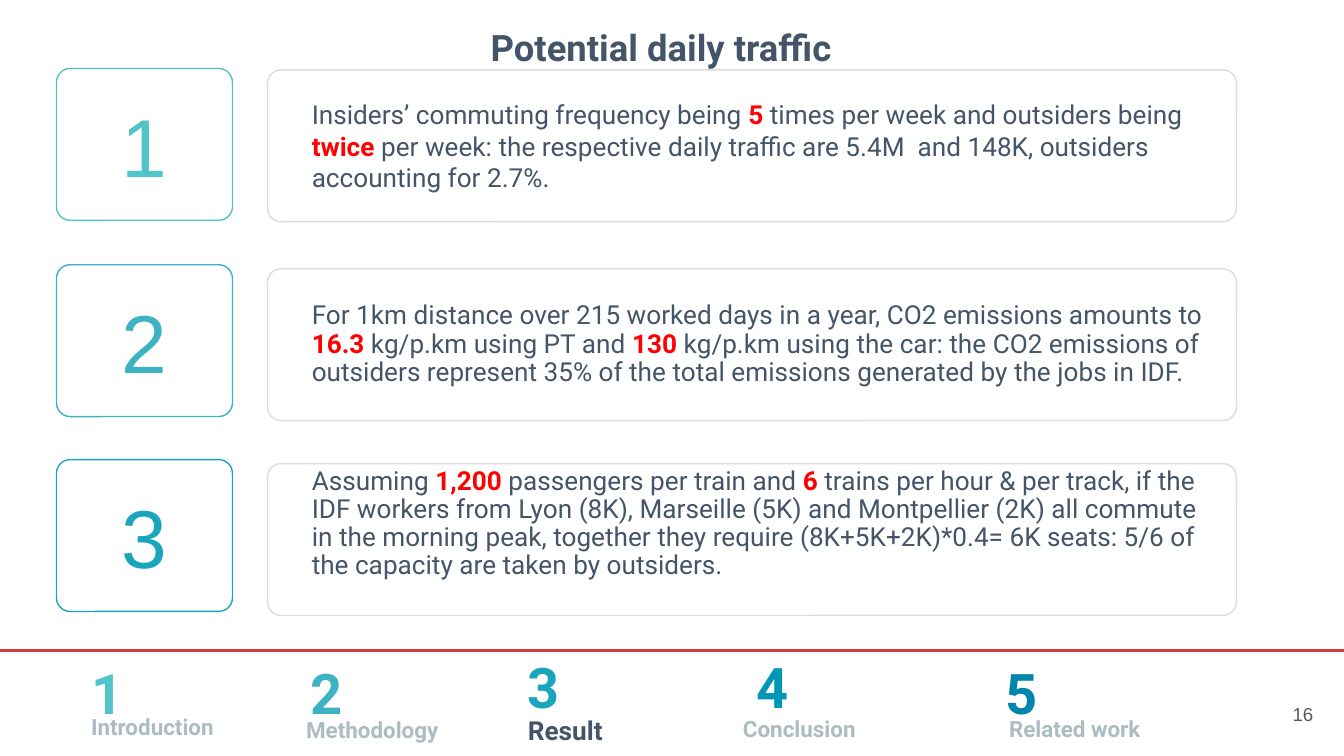
from dataclasses import dataclass
from lxml import etree
from pptx import Presentation
from pptx.dml.color import RGBColor
from pptx.enum.shapes import MSO_CONNECTOR, MSO_SHAPE
from pptx.enum.text import MSO_ANCHOR, PP_ALIGN
from pptx.oxml.ns import qn
from pptx.util import Inches, Pt

ROUND = MSO_SHAPE.ROUNDED_RECTANGLE
LINE = MSO_CONNECTOR.STRAIGHT
TOP, MID, LOW = MSO_ANCHOR.TOP, MSO_ANCHOR.MIDDLE, MSO_ANCHOR.BOTTOM
LEFT, MIDST, RIGHT = PP_ALIGN.LEFT, PP_ALIGN.CENTER, PP_ALIGN.RIGHT
WIDE = 10
HIGH = WIDE * 9 / 16


@dataclass(frozen=True)
class Theme:
    ink: str = "445469"
    hot: str = "FF0000"
    dim: str = "ADBCC3"
    rule: str = "CF3E3E"
    page: str = "595959"
    steps: tuple = ("51C3CA", "3CB2C3", "1AA5BD", "0097B7", "0086AC")
    head: str = "Roboto"
    plain: str = "Arial"
    title: float = 19.5
    body: float = 14
    badge: float = 44
    step: float = 30
    label: float = 12
    small: float = 10


THEME = Theme()

ROWS = [
    (0.51, 0.52, 1, 0,
     [("Insiders’ commuting frequency being ", False), ("5", True),
      (" times per week and outsiders being ", False), ("twice ", True),
      ("per week: the respective daily traffic are 5.4M  and 148K, "
       "outsiders accounting for 2.7%.", False)]),
    (1.97, 2.0, 0.9, 0,
     [("For 1km distance over 215 worked days in a year, CO2 emissions "
       "amounts to ", False), ("16.3", True),
      (" kg/p.km using PT and ", False), ("130", True),
      (" kg/p.km using the car: the CO2 emissions of outsiders represent "
       "35% of the total emissions generated by the jobs in IDF.", False)]),
    (3.42, 3.45, 0.9, 0.23,
     [("Assuming ", False), ("1,200", True),
      (" passengers per train and ", False), ("6", True),
      (" trains per hour & per track, if the IDF workers from Lyon (8K), "
       "Marseille (5K) and Montpellier (2K) all commute in the morning "
       "peak, together they require (8K+5K+2K)*0.4= 6K seats: 5/6 of the "
       "capacity are taken by outsiders.", False)]),
]

STEPS = [
    ("Introduction", 0.58, 0.11, 0.58, 0.42),
    ("Methodology", 2.21, 0.11, 2.18, 0.44),
    ("Result", 3.83, 0.07, 3.83, 0.43),
    ("Conclusion", 5.53, 0.07, 5.43, 0.43),
    ("Related work", 7.38, 0.11, 7.41, 0.43),
]


def rgb(code):
    return RGBColor.from_string(code)


def style(font, name, size, color, bold=False):
    font.name, font.size, font.bold = name, Pt(size), bold
    font.color.rgb = rgb(color)


def frame(shape, anchor, insets):
    text = shape.text_frame
    text.word_wrap = True
    text.vertical_anchor = anchor
    left, top, right, base = map(Inches, insets)
    text.margin_left, text.margin_top = left, top
    text.margin_right, text.margin_bottom = right, base
    return text.paragraphs[0]


def write(para, words, look, align=LEFT, space=None):
    para.text = words
    para.alignment = align
    para.line_spacing = space
    style(para.font, *look)


def label(slide, box, words, look, align=LEFT, anchor=TOP, pad=0.05,
          space=None):
    shape = slide.shapes.add_textbox(*map(Inches, box))
    para = frame(shape, anchor, (0.1, pad, 0.1, pad))
    write(para, words, look, align, space)


def panel(slide, box, bend, color):
    shape = slide.shapes.add_shape(ROUND, *map(Inches, box))
    shape.adjustments[0] = bend
    shape.shadow.inherit = False
    shape.fill.background()
    shape.line.color.rgb = rgb(color)
    shape.line.width = Pt(0.75)
    return shape


def fade(shape, share):
    color = shape.line.fill._xPr.find(".//" + qn("a:srgbClr"))
    etree.SubElement(color, qn("a:alpha"), val=str(share * 1000))


def badge(slide, box, number, color):
    shape = panel(slide, box, 0.09, color)
    para = frame(shape, MID, (0.1, 0.05, 0.1, 0.05))
    write(para, str(number), (THEME.plain, THEME.badge, color), MIDST)


def card(slide, box, parts, space, base):
    shape = panel(slide, box, 0.09, THEME.ink)
    fade(shape, 20)
    para = frame(shape, MID, (0.3, 0, 0.2, base))
    para.alignment = LEFT
    para.line_spacing = space
    for words, strong in parts:
        run = para.add_run()
        run.text = words
        color = THEME.hot if strong else THEME.ink
        style(run.font, THEME.head, THEME.body, color, strong)


def points(slide, left, width):
    wide, gap, high = 1.31, 0.26, 1.13
    for i, (top, level, space, base, parts) in enumerate(ROWS):
        badge(slide, (left, top, wide, high), i + 1, THEME.steps[i])
        start = left + wide + gap
        card(slide, (start, level, left + width - start, high),
             parts, space, base)


def footer(slide, top, width, active):
    line = slide.shapes.add_connector(
        LINE, 0, Inches(top), Inches(width), Inches(top))
    line.line.color.rgb = rgb(THEME.rule)
    line.line.width = Pt(1.5)
    etree.SubElement(line._element.spPr, qn("a:effectLst"))
    for i, (name, left, drop, edge, fall) in enumerate(STEPS):
        label(slide, (left, top + drop, 1.19, 0.46), str(i + 1),
              (THEME.head, THEME.step, THEME.steps[i], True),
              anchor=LOW, space=0.45)
        look = (THEME.label, THEME.dim)
        if name == active:
            look = (THEME.body, THEME.ink)
        label(slide, (edge, top + fall, 1.6, 0.3), name,
              (THEME.head, *look, True))
    label(slide, (width - 0.73, top + 0.26, 0.6, 0.43), "16",
          (THEME.plain, THEME.small, THEME.page), RIGHT, MID, 0.1)


def main():
    deck = Presentation()
    deck.slide_width, deck.slide_height = Inches(WIDE), Inches(HIGH)
    slide = deck.slides.add_slide(deck.slide_layouts[6])
    label(slide, (0.26, 0.09, 9.32, 0.63), "Potential daily traffic",
          (THEME.head, THEME.title, THEME.ink, True), MIDST, pad=0.1)
    points(slide, 0.42, 8.78)
    footer(slide, 4.84, WIDE, "Result")
    deck.save("out.pptx")


if __name__ == "__main__":
    main()
